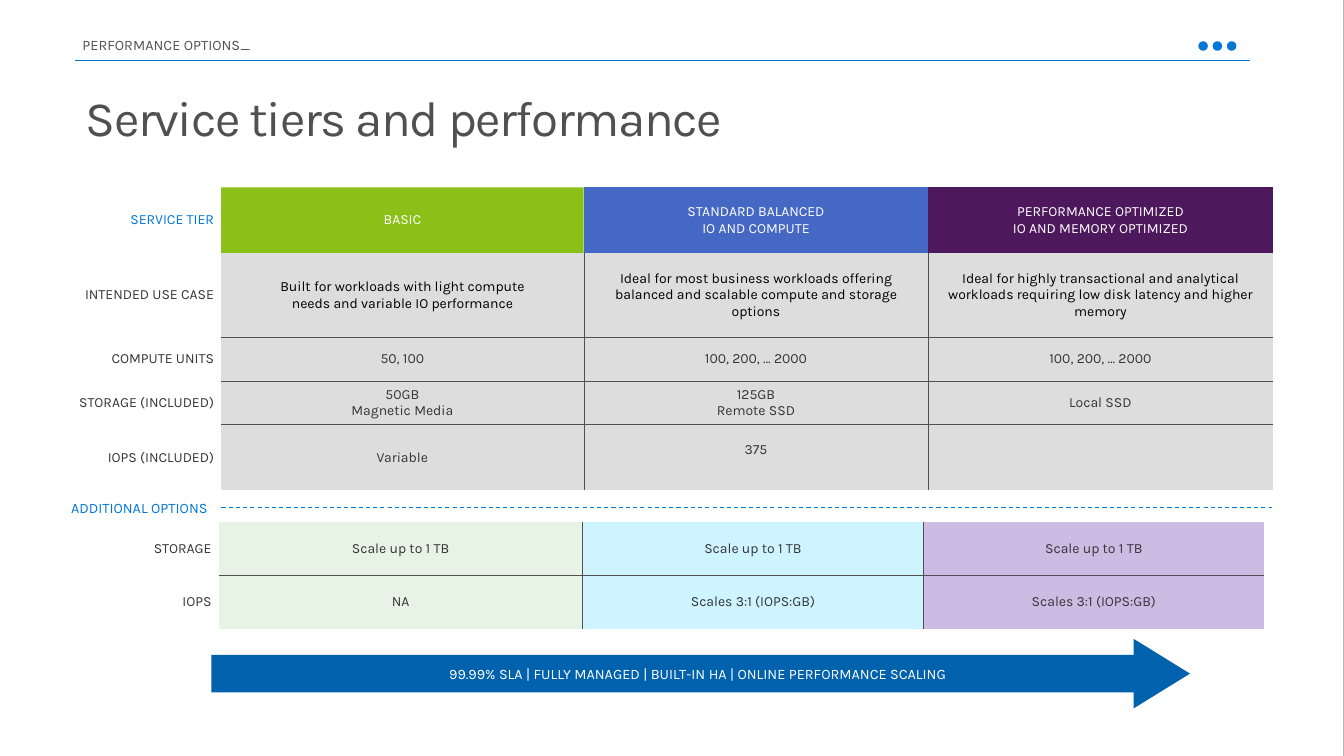
from lxml import etree
from pptx import Presentation
from pptx.dml.color import RGBColor
from pptx.enum.dml import MSO_LINE
from pptx.enum.shapes import MSO_CONNECTOR, MSO_SHAPE as Shape
from pptx.enum.text import MSO_ANCHOR as Anchor, MSO_AUTO_SIZE as AutoSize, PP_ALIGN as Align
from pptx.oxml import parse_xml
from pptx.oxml.ns import nsdecls, qn
from pptx.util import Cm, Pt

rgb = RGBColor.from_string
BLUE, GREY, DARK, WHITE = "0077D7", "505050", "353535", "FFFFFF"
NO_STYLE = "{2D5ABB26-0587-4C30-8999-92F81FD0307C}"


def write_text(frame, text, size, color, align=Align.LEFT, spacing=None):
    """Fill a text frame, one paragraph per line of text."""
    frame.text = text
    for para in frame.paragraphs:
        para.alignment = align
        para.line_spacing = spacing
        for name, value in {"name": "Karla", "size": Pt(size)}.items():
            setattr(para.font, name, value)
        para.font.color.rgb = rgb(color)


def add_tier_table(left, top, widths, heights, rows, headers=0):
    """Add a table from rows of (text, text colour, fill); rules run between body cells."""
    frame = page.shapes.add_table(len(heights), len(widths), Cm(left), Cm(top),
                                  Cm(sum(widths)), Cm(sum(heights)))
    next(frame.element.iter(qn("a:tableStyleId"))).text = NO_STYLE
    table = frame.table
    table.first_row = table.horz_banding = False
    for column, width in zip(table.columns, widths):
        column.width = Cm(width)
    for row, height in zip(table.rows, heights):
        row.height = Cm(height)
    for r, row in enumerate(rows):
        for c, (text, color, fill) in enumerate(row):
            cell = table.cell(r, c)
            layout = {"margin_left": Cm(0.18), "margin_right": Cm(0.18), "margin_top": Cm(0.1),
                      "margin_bottom": Cm(0.1), "vertical_anchor": Anchor.MIDDLE}
            for name, value in layout.items():
                setattr(cell, name, value)
            write_text(cell.text_frame, text, 10, color, Align.CENTER if fill else Align.RIGHT)
            if not fill:
                cell.fill.background()
                continue
            cell.fill.solid()
            cell.fill.fore_color.rgb = rgb(fill)
            if r < headers:
                continue
            edges = {"lnL": c != 1, "lnR": 1 <= c < len(widths) - 1,
                     "lnT": r > headers, "lnB": r < len(heights) - 1}
            for index, edge in enumerate(edge for edge, drawn in edges.items() if drawn):
                cell._tc.get_or_add_tcPr().insert(index, parse_xml(
                    f'<a:{edge} {nsdecls("a")} w="{Pt(0.25)}"><a:solidFill>'
                    f'<a:srgbClr val="{GREY}"/></a:solidFill></a:{edge}>'))
    return table


deck = Presentation()
deck.slide_width, deck.slide_height = Cm(33.87), Cm(19.05)
page = deck.slides.add_slide(deck.slide_layouts[5])

# Background and white panel
page.background.fill.solid()
page.background.fill.fore_color.rgb = rgb(DARK)

# Panel, arrow and header dots
solids = [(Shape.RECTANGLE, 0, 0, 33.86, 19.05, WHITE),
          (Shape.RIGHT_ARROW, 5.33, 16.1, 24.66, 1.75, "0062AC")]
solids += [(Shape.OVAL, 30.2 + 0.36 * i, 1.04, 0.24, 0.24, BLUE) for i in range(3)]
for kind, left, top, width, height, color in solids:
    solid = page.shapes.add_shape(kind, Cm(left), Cm(top), Cm(width), Cm(height))
    solid.shadow.inherit = False
    solid.fill.solid()
    solid.fill.fore_color.rgb = rgb(color)
    solid.line.fill.background()
    if kind == Shape.RIGHT_ARROW:
        solid.adjustments[0], solid.adjustments[1] = 0.54, 0.81

# Title, brought in front of the panel
title = page.shapes.title
for name, value in {"left": 1.75, "top": 2.11, "width": 30.78, "height": 1.78}.items():
    setattr(title, name, Cm(value))
title_format = {"margin_left": Cm(0.41), "margin_right": Cm(0.41), "margin_top": Cm(0.25),
                "margin_bottom": Cm(0.25), "vertical_anchor": Anchor.TOP,
                "word_wrap": True, "auto_size": AutoSize.NONE}
for name, value in title_format.items():
    setattr(title.text_frame, name, value)
write_text(title.text_frame, "Service tiers and performance", 35.3, GREY, spacing=0.9)
title.text_frame.paragraphs[0].runs[0].font._element.set("spc", "-100")
title.element.getparent().append(title.element)

# Service tier table
HEADS = [("BASIC", "7FBA00"), ("STANDARD BALANCED\nIO AND COMPUTE", "4668C5"),
         ("PERFORMANCE OPTIMIZED\nIO AND MEMORY OPTIMIZED", "4E195C")]
FEATURES = [
    ("INTENDED USE CASE", "000000",
     ["Built for workloads with light compute\nneeds and variable IO performance",
      "Ideal for most business workloads offering balanced and scalable compute "
      "and storage options",
      "Ideal for highly transactional and analytical workloads requiring low disk latency "
      "and higher memory"]),
    ("COMPUTE UNITS", DARK, ["50, 100", "100, 200, … 2000", "100, 200, … 2000"]),
    ("STORAGE (INCLUDED)", DARK, ["50GB\nMagnetic Media", "125GB\nRemote SSD", "Local SSD"]),
    ("IOPS (INCLUDED)", DARK, ["Variable", "375", ""]),
]
tier_rows = [[("SERVICE TIER", BLUE, None)] + [(text, WHITE, fill) for text, fill in HEADS]]
for label, color, texts in FEATURES:
    tier_rows.append([(label, DARK, None)] + [(text, color, "DDDDDD") for text in texts])
tiers = add_tier_table(-0.15, 4.72, [5.72, 9.14, 8.68, 8.68], [1.66, 2.12, 1.1, 1.1, 1.65],
                       tier_rows, headers=1)
tiers.cell(4, 2).margin_bottom = Cm(0.5)
basic_fill = next(tiers.cell(0, 1)._tc.tcPr.iter(qn("a:srgbClr")))
etree.SubElement(basic_fill, qn("a:alpha")).set("val", "90000")

# Additional option tables
GREEN, CYAN, PURPLE = "E7F4E5", "CDF4FF", "CDBBE3"
SCALE, RATIO = "Scale up to 1 TB", "Scales 3:1 (IOPS:GB)"
add_tier_table(0.05, 13.16, [5.46, 9.17, 8.59], [1.34, 1.34], [
    [("STORAGE", DARK, None), (SCALE, DARK, GREEN), (SCALE, DARK, CYAN)],
    [("IOPS", DARK, None), ("NA", DARK, GREEN), (RATIO, DARK, CYAN)]])
add_tier_table(23.27, 13.16, [8.59], [1.34, 1.34],
               [[(SCALE, DARK, PURPLE)], [(RATIO, DARK, PURPLE)]])

# Header rule and dashed divider
for left, right, y, weight, dash in [(1.9, 31.5, 1.52, 1, None),
                                     (5.58, 32.05, 12.78, 0.75, MSO_LINE.DASH)]:
    rule = page.shapes.add_connector(MSO_CONNECTOR.STRAIGHT, Cm(left), Cm(y), Cm(right), Cm(y))
    rule.line.color.rgb = rgb(BLUE)
    rule.line.width = Pt(weight)
    rule.line.dash_style = dash
    etree.SubElement(rule.element.spPr, qn("a:effectLst"))

# Section name, divider label and arrow text
labels = [
    ("PERFORMANCE OPTIONS_", 1.83, 0.79, 13.23, 0.69, GREY, Align.LEFT, None, True),
    ("ADDITIONAL OPTIONS", 0, 12.4, 5.49, 0.84, BLUE, Align.RIGHT, 0.9, True),
    ("99.99% SLA | FULLY MANAGED | BUILT-IN HA | ONLINE PERFORMANCE SCALING",
     11.07, 16.64, 13.16, 0.69, WHITE, Align.LEFT, None, False),
]
for text, left, top, width, height, color, align, spacing, wrap in labels:
    box = page.shapes.add_textbox(Cm(left), Cm(top), Cm(width), Cm(height))
    box.text_frame.word_wrap = wrap
    box.text_frame.vertical_anchor = Anchor.MIDDLE
    write_text(box.text_frame, text, 10.3, color, align, spacing)

deck.save("out.pptx")
